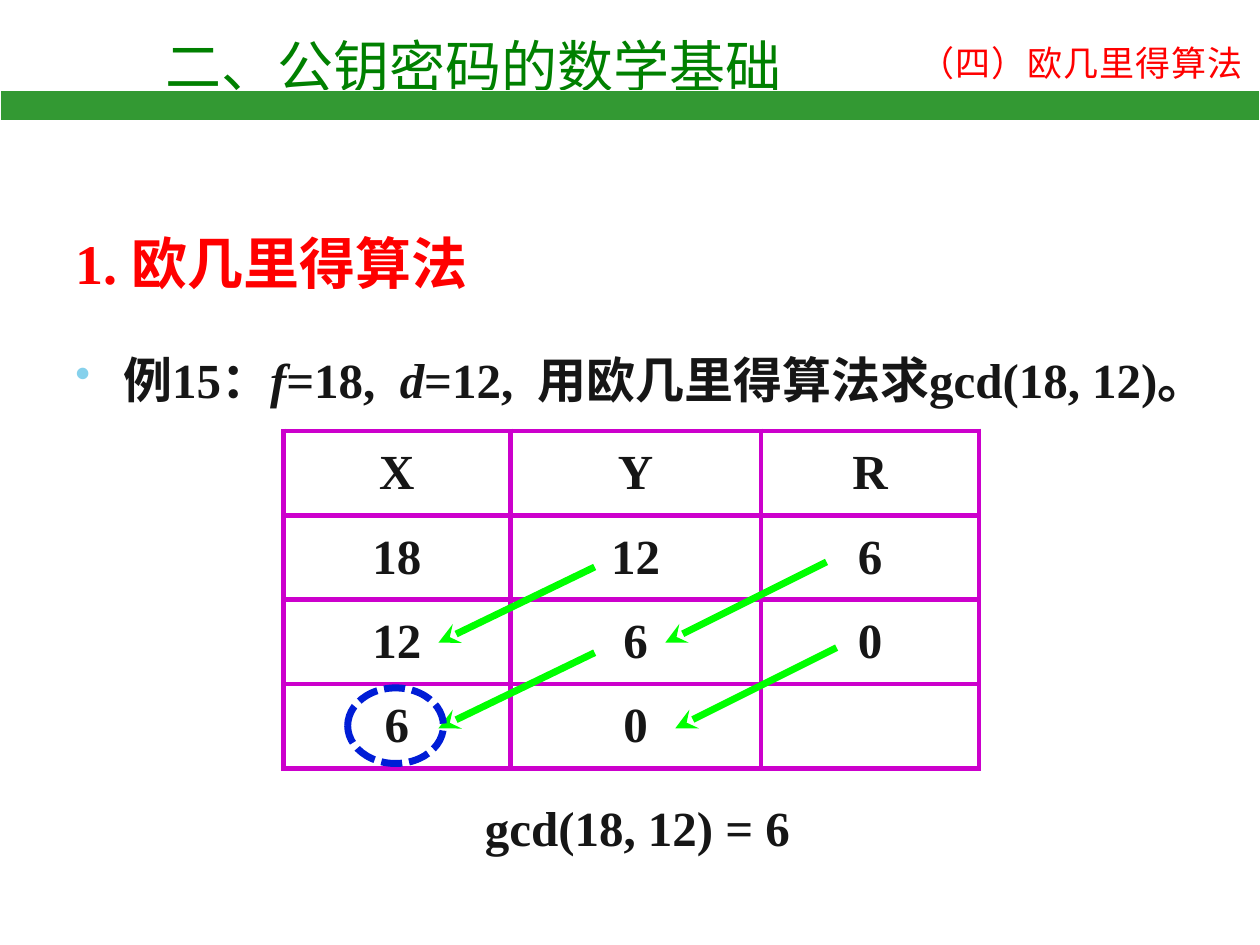
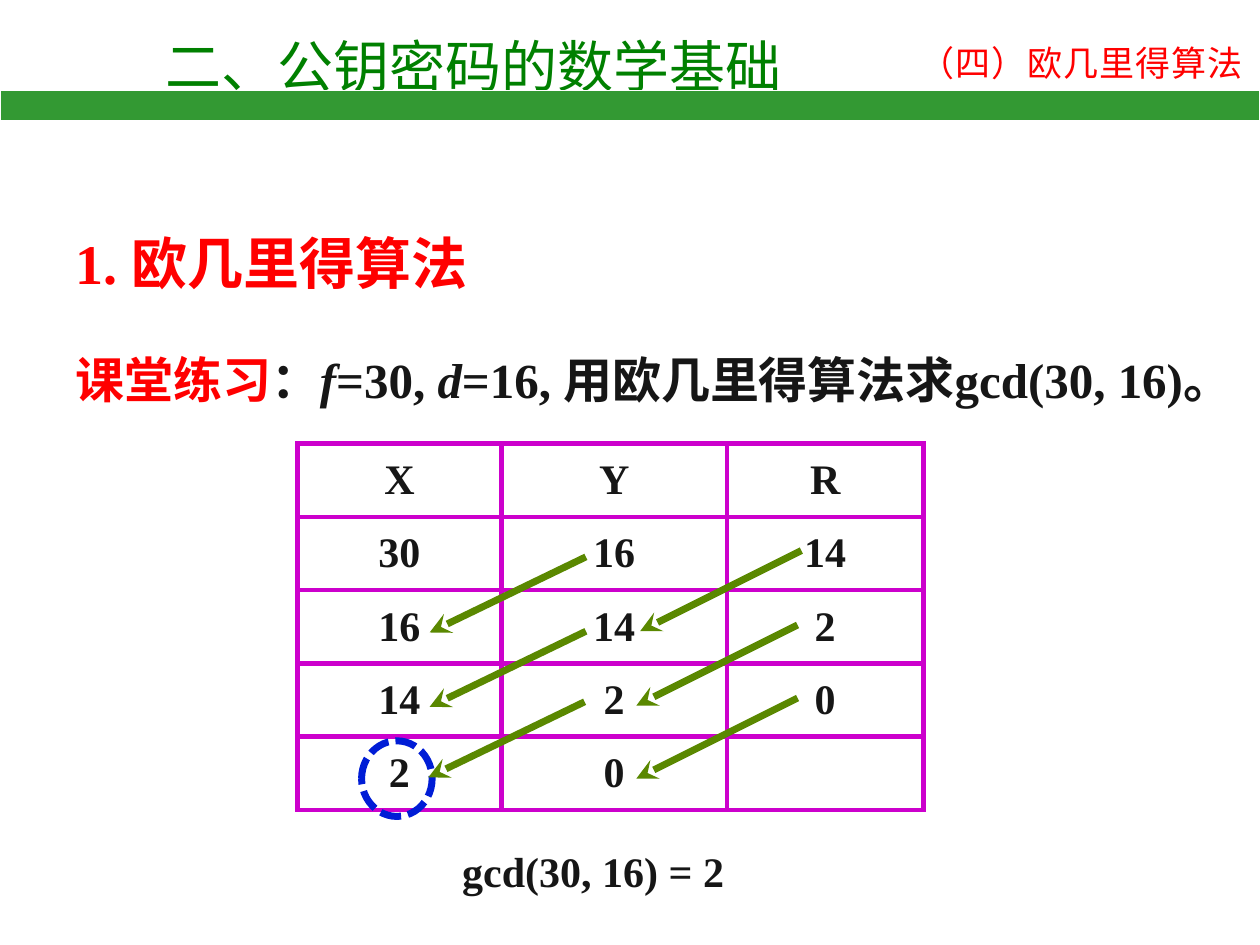
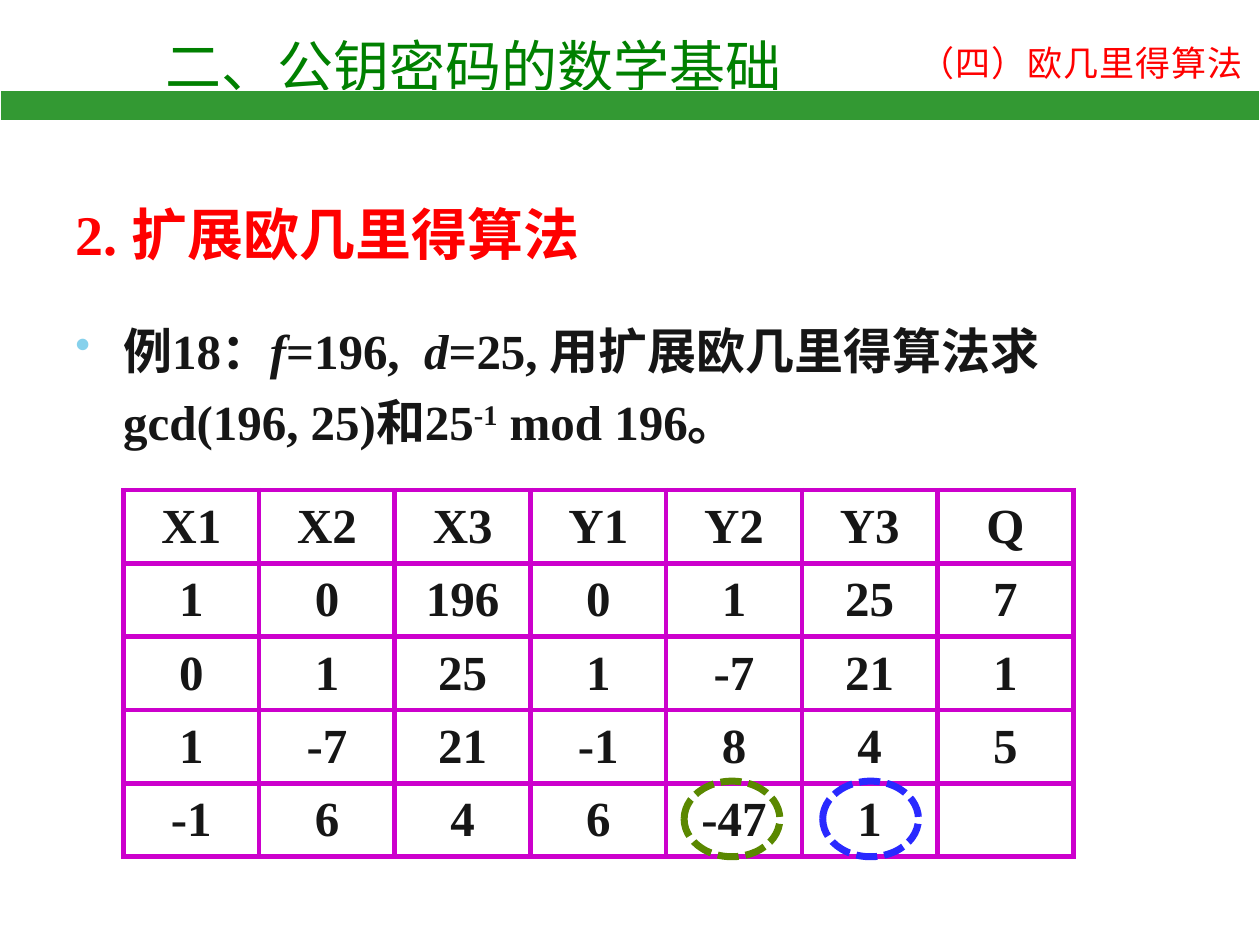
from lxml import etree
from pptx import Presentation
from pptx.dml.color import RGBColor
from pptx.enum.dml import MSO_LINE
from pptx.enum.shapes import MSO_CONNECTOR, MSO_SHAPE
from pptx.enum.text import MSO_ANCHOR, MSO_AUTO_SIZE, PP_ALIGN
from pptx.oxml.ns import qn
from pptx.util import Inches, Pt

DASH = MSO_LINE.SQUARE_DOT
STRAIGHT = MSO_CONNECTOR.STRAIGHT
RECT, OVAL = MSO_SHAPE.RECTANGLE, MSO_SHAPE.OVAL
TOP, MIDDLE = MSO_ANCHOR.TOP, MSO_ANCHOR.MIDDLE
NO_FIT = MSO_AUTO_SIZE.NONE
LEFT, CENTER = PP_ALIGN.LEFT, PP_ALIGN.CENTER

WHITE = RGBColor(0xFF, 0xFF, 0xFF)
RED = RGBColor(0xFF, 0x00, 0x00)
INK = RGBColor(0x16, 0x16, 0x16)
GREEN = RGBColor(0x00, 0x80, 0x00)
BAND = RGBColor(0x33, 0x99, 0x33)
LIME = RGBColor(0x00, 0xFF, 0x00)
OLIVE = RGBColor(0x5A, 0x88, 0x00)
BLUE = RGBColor(0x00, 0x1D, 0xD6)
BRIGHT = RGBColor(0x29, 0x29, 0xFF)
PURPLE = "CC00CC"
SKY = "86D1EC"

HAN = "Noto Sans CJK SC"
ROMAN = "Times New Roman"

# Arrow travel from one column to the column on its left
Y_TO_X = (-1.24, 0.6)
R_TO_Y = (-1.28, 0.64)


def add(parent, tag, **attrs):
    return etree.SubElement(parent, qn(tag), attrs)


class Deck:
    def __init__(self):
        self.prs = Presentation()
        self.prs.slide_width = Inches(10)
        self.prs.slide_height = Inches(7.5)
        self.slide = None

    def font(self, run, size, color, name=ROMAN, bold=True):
        font = run.font
        font.size, font.bold, font.name = Pt(size), bold, name
        font.color.rgb = color
        add(run._r.get_or_add_rPr(), "a:ea", typeface=HAN)

    def box(self, at, wrap):
        frame = self.slide.shapes.add_textbox(*map(Inches, at)).text_frame
        frame.word_wrap = wrap
        return frame

    def label(self, at, text, size, color=INK, name=ROMAN, bold=True):
        """Add one line of text and return its run."""
        frame = self.box(at, False)
        frame.text = text
        run = frame.paragraphs[0].runs[0]
        self.font(run, size, color, name, bold)
        return run

    def page(self):
        """Start a slide with its title, corner label and band."""
        self.slide = self.prs.slides.add_slide(self.prs.slide_layouts[5])
        title = self.slide.shapes.title
        title.left, title.top = Inches(1.21), Inches(0.2)
        title.width, title.height = Inches(5.99), Inches(0.64)
        frame = title.text_frame
        frame.text = "二、公钥密码的数学基础"
        frame.vertical_anchor, frame.auto_size = TOP, NO_FIT
        frame.paragraphs[0].alignment = LEFT
        self.font(frame.paragraphs[0].runs[0], 32, GREEN, HAN, False)

        corner = self.label((7.2, 0.28, 2.79, 0.44), "（四）欧几里得算法",
                            20, RED, HAN, False)
        corner._r.get_or_add_rPr().set("spc", "50")

        band = self.shape(RECT, (0, 0.72, 10, 0.24), WHITE, 0.75)
        band.fill.solid()
        band.fill.fore_color.rgb = BAND

    def shape(self, kind, at, color, width):
        shape = self.slide.shapes.add_shape(kind, *map(Inches, at))
        shape.shadow.inherit = False
        shape.line.color.rgb = color
        shape.line.width = Pt(width)
        return shape

    def ring(self, at, color):
        ring = self.shape(OVAL, at, color, 4)
        ring.fill.background()
        ring.line.dash_style = DASH

    def body(self, at, head, parts, bullet=True):
        """Add a red heading and a task; parts pair a text with a style."""
        frame = self.box(at, True)
        frame.text = head
        first, task = frame.paragraphs[0], frame.add_paragraph()
        self.font(first.runs[0], 32, RED)
        first.space_after = Pt(18)
        for para in (first, task):
            para.line_spacing, para.space_before = 1.2, Pt(6)
        for text, style in parts:
            run = task.add_run()
            run.text = text
            self.font(run, 28, RED if style == "red" else INK)
            run.font.italic = style == "italic"
            if style == "super":
                run._r.get_or_add_rPr().set("baseline", "30000")
        if bullet:
            props = task._p.get_or_add_pPr()
            props.set("marL", str(Inches(0.38)))
            props.set("indent", str(-Inches(0.38)))
            add(add(props, "a:buClr"), "a:srgbClr", val=SKY)
            add(props, "a:buSzPct", val="90000")
            add(props, "a:buChar", char="•")

    def cell(self, cell, text, size):
        props = cell._tc.get_or_add_tcPr()
        for side in "LRTB":
            line = add(props, "a:ln" + side, w=str(Pt(3)))
            add(add(line, "a:solidFill"), "a:srgbClr", val=PURPLE)
        cell.fill.background()
        cell.vertical_anchor = MIDDLE
        cell.text = text
        para = cell.text_frame.paragraphs[0]
        para.alignment = CENTER
        for run in para.runs:
            self.font(run, size, INK)

    def table(self, at, rows, size, widths=()):
        frame = self.slide.shapes.add_table(
            len(rows), len(rows[0]), *map(Inches, at))
        table = frame.table
        table.first_row = table.horz_banding = False
        for col, width in zip(table.columns, widths):
            col.width = Inches(width)
        for r, row in enumerate(rows):
            for c, text in enumerate(row):
                self.cell(table.cell(r, c), text, size)

    def arrows(self, starts, step, color):
        """Draw an arrow by the same step from each start."""
        for x, y in starts:
            ends = (x, y, x + step[0], y + step[1])
            arrow = self.slide.shapes.add_connector(
                STRAIGHT, *map(Inches, ends))
            arrow.line.color.rgb = color
            arrow.line.width = Pt(4)
            props = arrow._element.spPr
            add(props.find(qn("a:ln")), "a:tailEnd", type="stealth")
            add(props, "a:effectLst")


def example(deck):
    deck.page()
    deck.body((0.5, 1.66, 9.21, 5.28), "1. 欧几里得算法", [
        ("例15：", ""), ("f", "italic"), ("=18,  ", ""), ("d", "italic"),
        ("=12,  用欧几里得算法求gcd(18, 12)。", "")])
    deck.table((2.25, 3.42, 5.52, 2.68), [
        ("X", "Y", "R"),
        ("18", "12", "6"),
        ("12", "6", "0"),
        ("6", "0", "")], 28, (1.8, 1.99, 1.73))
    deck.arrows([(4.72, 4.5), (4.72, 5.18)], Y_TO_X, LIME)
    deck.arrows([(6.56, 4.46), (6.64, 5.14)], R_TO_Y, LIME)
    deck.ring((2.76, 5.46, 0.76, 0.6), BLUE)
    deck.label((3.75, 6.28, 2.65, 0.57), "gcd(18, 12) = 6", 28)


def practice(deck):
    deck.page()
    deck.body((0.5, 1.66, 9.5, 5.28), "1. 欧几里得算法", [
        ("课堂练习", "red"), ("：", ""), ("f", "italic"), ("=30, ", ""),
        ("d", "italic"), ("=16, 用欧几里得算法求gcd(30, 16)。", "")],
        bullet=False)
    deck.table((2.36, 3.52, 4.97, 2.91), [
        ("X", "Y", "R"),
        ("30", "16", "14"),
        ("16", "14", "2"),
        ("14", "2", "0"),
        ("2", "0", "")], 24, (1.62, 1.79, 1.56))
    deck.ring((2.87, 5.88, 0.56, 0.6), BLUE)
    deck.arrows([(4.65, 4.42), (4.65, 5.01), (4.64, 5.57)], Y_TO_X, OLIVE)
    deck.arrows([(6.36, 4.37), (6.33, 4.96), (6.33, 5.54)], R_TO_Y, OLIVE)
    deck.label((3.57, 6.66, 2.3, 0.5), "gcd(30, 16) = 2", 24)


def extended(deck):
    deck.page()
    deck.body((0.5, 1.43, 9, 5.28), "2. 扩展欧几里得算法", [
        ("例18：", ""), ("f", "italic"), ("=196,  ", ""), ("d", "italic"),
        ("=25, 用扩展欧几里得算法求gcd(196, 25)和25", ""),
        ("-1", "super"), (" mod 196。", "")])
    deck.table((0.98, 3.89, 7.54, 2.91), [
        ("X1", "X2", "X3", "Y1", "Y2", "Y3", "Q"),
        ("1", "0", "196", "0", "1", "25", "7"),
        ("0", "1", "25", "1", "-7", "21", "1"),
        ("1", "-7", "21", "-1", "8", "4", "5"),
        ("-1", "6", "4", "6", "-47", "1", "")], 28)
    deck.ring((6.53, 6.2, 0.76, 0.6), BRIGHT)
    deck.ring((5.43, 6.2, 0.76, 0.6), OLIVE)


def main():
    deck = Deck()
    example(deck)
    practice(deck)
    extended(deck)
    deck.prs.save("out.pptx")


if __name__ == "__main__":
    main()
